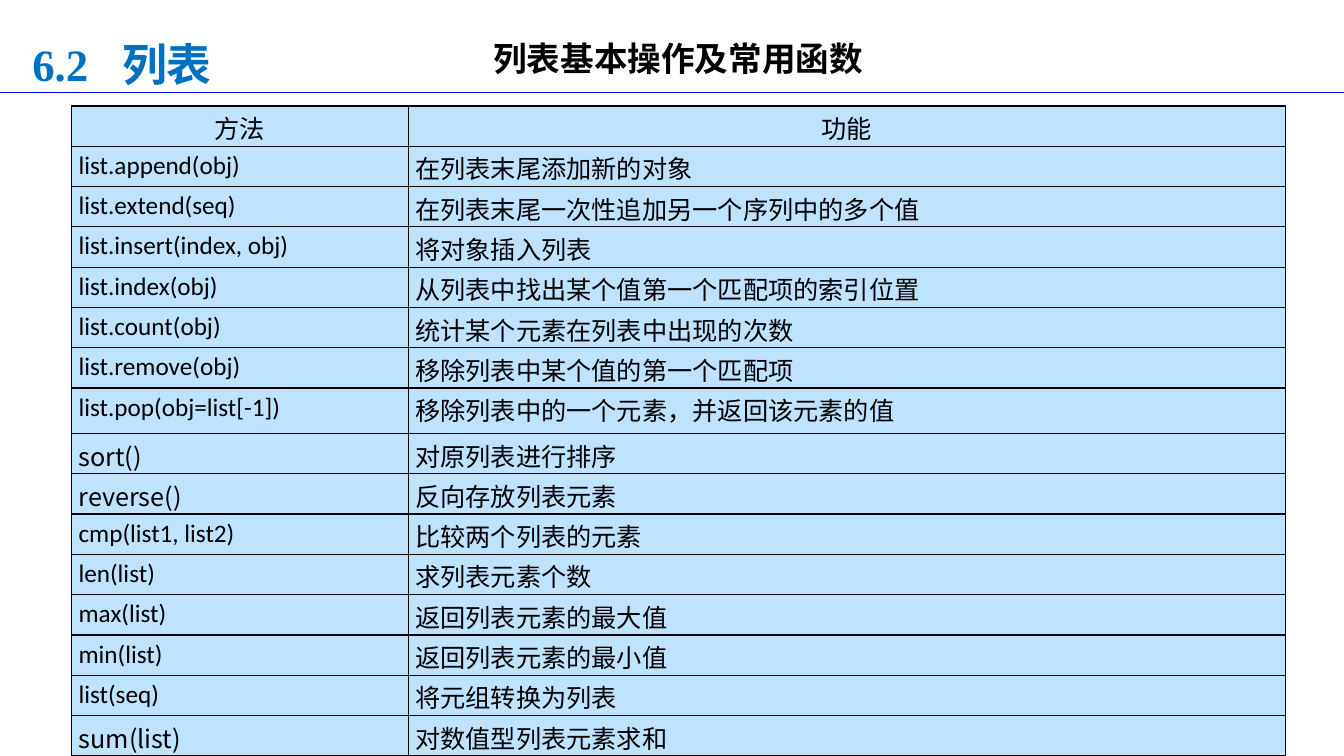
import pptx
import pptx.util
import pptx.dml.color
import pptx.enum.shapes
import pptx.enum.text
import pptx.oxml.ns
from lxml import etree

RGB = pptx.dml.color.RGBColor
ALIGN = pptx.enum.text.PP_ALIGN
ANCHOR = pptx.enum.text.MSO_ANCHOR
qn = pptx.oxml.ns.qn

BLACK = RGB(0x00, 0x00, 0x00)
INK = RGB(0x08, 0x00, 0x00)
BLUE = RGB(0x00, 0x70, 0xC0)
RULE = RGB(0x00, 0x00, 0xFF)
PALE = RGB(0xBE, 0xE3, 0xFF)

HAN = "Noto Sans CJK SC"
LATIN = "Calibri"
SERIF = "Times New Roman"

# Method, its use, font of the method
ROWS = [
    ("方法", "功能", HAN),
    ("list.append(obj)", "在列表末尾添加新的对象", LATIN),
    ("list.extend(seq)", "在列表末尾一次性追加另一个序列中的多个值", LATIN),
    ("list.insert(index, obj)", "将对象插入列表", LATIN),
    ("list.index(obj)", "从列表中找出某个值第一个匹配项的索引位置", LATIN),
    ("list.count(obj)", "统计某个元素在列表中出现的次数", LATIN),
    ("list.remove(obj)", "移除列表中某个值的第一个匹配项", LATIN),
    ("list.pop(obj=list[-1])", "移除列表中的一个元素，并返回该元素的值", LATIN),
    ("sort()", "对原列表进行排序", HAN),
    ("reverse()", "反向存放列表元素", HAN),
    ("cmp(list1, list2)", "比较两个列表的元素", LATIN),
    ("len(list)", "求列表元素个数", LATIN),
    ("max(list)", "返回列表元素的最大值", LATIN),
    ("min(list)", "返回列表元素的最小值", LATIN),
    ("list(seq)", "将元组转换为列表", LATIN),
    ("sum(list)", "对数值型列表元素求和", HAN),
]
TALL = 7  # the list.pop row


def px(num):
    """100 px to the inch."""
    return pptx.util.Emu(num * 9144)


class Page:
    def __init__(self, deck):
        self.slide = deck.slides.add_slide(deck.slide_layouts[5])
        self.shapes = self.slide.shapes

    def style(self, para, text, size, face, color=BLACK, bold=False, align=ALIGN.LEFT):
        para.text = text
        para.alignment = align
        font = para.font
        font.size, font.bold, font.name = pptx.util.Pt(size), bold, face
        font.color.rgb = color
        props = para._p.pPr.find(qn("a:defRPr"))
        etree.SubElement(props, qn("a:ea")).set("typeface", HAN)

    def title(self, box, text, inset, stop):
        shape = self.shapes.title
        shape.left, shape.top, shape.width, shape.height = map(px, box)
        frame = shape.text_frame
        frame.auto_size = pptx.enum.text.MSO_AUTO_SIZE.NONE
        frame.vertical_anchor = ANCHOR.MIDDLE
        frame.margin_left = px(inset)
        para = frame.paragraphs[0]
        para.line_spacing = 1.2
        tabs = etree.SubElement(para._p.get_or_add_pPr(), qn("a:tabLst"))
        etree.SubElement(tabs, qn("a:tab"), pos=str(px(stop)), algn="l")
        self.style(para, text, 32, SERIF, BLUE, True)

    def text(self, box, text, size, indent):
        frame = self.shapes.add_textbox(*map(px, box)).text_frame
        frame.word_wrap = True
        para = frame.paragraphs[0]
        self.style(para, text, size, HAN, bold=True, align=ALIGN.CENTER)
        para._p.pPr.set("indent", str(px(indent)))

    def line(self, left, right, y):
        kind = pptx.enum.shapes.MSO_CONNECTOR.STRAIGHT
        line = self.shapes.add_connector(kind, px(left), px(y), px(right), px(y))
        line.line.color.rgb = RULE
        line.line.width = pptx.util.Pt(0.75)
        etree.SubElement(line._element.spPr, qn("a:effectLst"))

    def edge(self, cell, side, width, color):
        props = cell._tc.get_or_add_tcPr()
        line = etree.SubElement(props, qn("a:ln" + side), w=str(pptx.util.Pt(width)))
        fill = etree.SubElement(line, qn("a:solidFill"))
        etree.SubElement(fill, qn("a:srgbClr"), val=str(color))

    def table(self, box, rows, cols, highs):
        grid = self.shapes.add_table(len(rows), len(cols), *map(px, box)).table
        for col, wide in zip(grid.columns, cols):
            col.width = px(wide)
        last = len(rows) - 1
        for r, (name, use, face) in enumerate(rows):
            grid.rows[r].height = px(highs[r])
            for c, (text, font) in enumerate([(name, face), (use, HAN)]):
                cell = grid.cell(r, c)
                outer, inner = (0.75, BLACK), (1, INK)
                self.edge(cell, "L", *(inner if c else outer))
                self.edge(cell, "R", *(outer if c else inner))
                self.edge(cell, "T", 1 if r else 1.5, INK)
                self.edge(cell, "B", 1.5 if r == last else 1, INK)
                cell.fill.solid()
                cell.fill.fore_color.rgb = PALE
                cell.margin_left = cell.margin_right = px(7)
                # Tight enough for one line to fit the row
                cell.margin_top, cell.margin_bottom = px(4), 0
                align = ALIGN.LEFT if r else ALIGN.CENTER
                para = cell.text_frame.paragraphs[0]
                para.line_spacing = 0.98
                self.style(para, text, 18, font, align=align)


def main():
    deck = pptx.Presentation()
    deck.slide_width, deck.slide_height = px(1333), px(750)
    page = Page(deck)

    # Heading and rule
    page.title((0, 25, 275, 65), "6.2\t列表", 32, 89)
    page.line(0, 1333, 92)

    # Table of methods
    highs = [45 if r == TALL else 40 for r in range(len(ROWS))]
    page.table((71, 105, 1204, sum(highs)), ROWS, (334, 870), highs)

    # Topic
    page.text((86, 33, 1144, 51), "列表基本操作及常用函数", 24, 29)

    deck.save("out.pptx")


if __name__ == "__main__":
    main()
